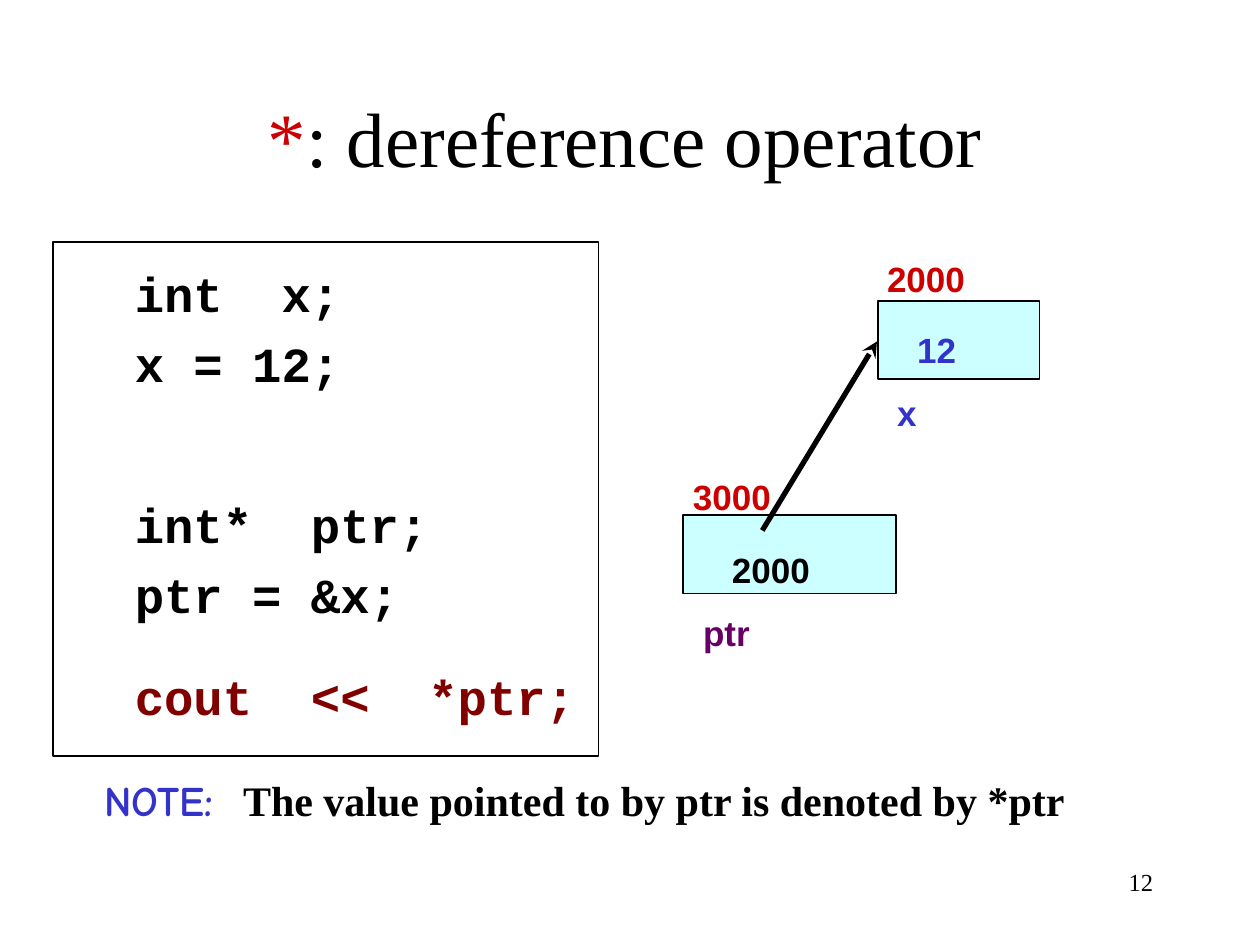
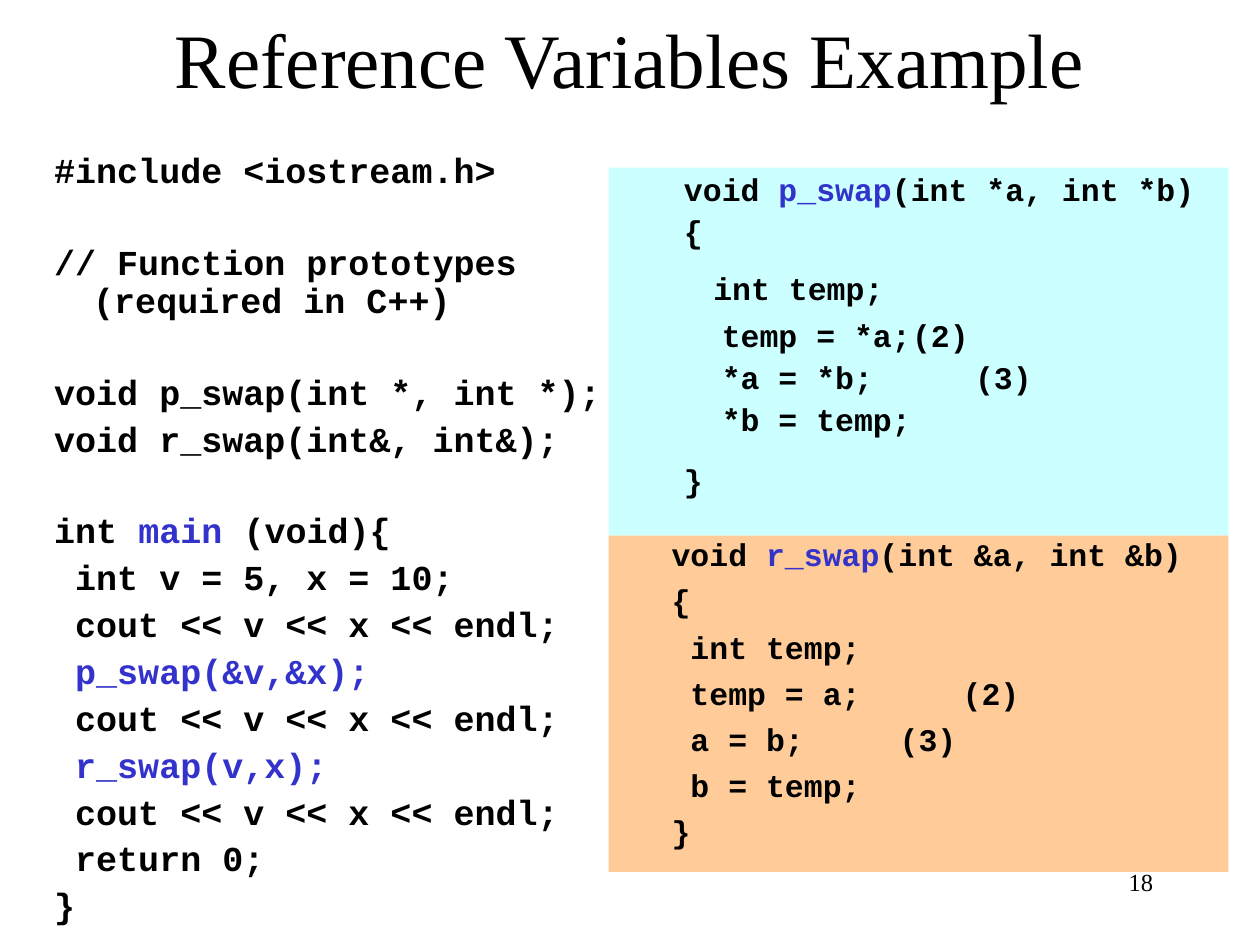
"""Build two slides on pointers and references in C++."""
from dataclasses import dataclass, field
from typing import Any, Optional

from lxml.etree import SubElement
from pptx import Presentation
from pptx.dml.color import RGBColor
from pptx.enum.shapes import MSO_CONNECTOR as Link, MSO_SHAPE as Kind
from pptx.enum.text import MSO_ANCHOR as Anchor, MSO_AUTO_SIZE as Fit, PP_ALIGN as Align
from pptx.oxml.ns import qn
from pptx.util import Inches, Pt

BLACK = RGBColor(0x00, 0x00, 0x00)
WHITE = RGBColor(0xFF, 0xFF, 0xFF)
RED = RGBColor(0xCC, 0x00, 0x00)
MAROON = RGBColor(0x80, 0x00, 0x00)
BLUE = RGBColor(0x33, 0x33, 0xCC)
PURPLE = RGBColor(0x66, 0x00, 0x66)
CYAN = RGBColor(0xCC, 0xFF, 0xFF)
PEACH = RGBColor(0xFF, 0xCC, 0x99)

SERIF = {"name": "Times New Roman", "bold": False, "color": BLACK}
TITLE = SERIF | {"size": Pt(44)}
NUMBER = SERIF | {"size": Pt(14)}
LABEL = {"name": "Arial", "size": Pt(20), "bold": True}
CODE = {"name": "Courier New", "bold": True, "color": BLACK}
BIG = CODE | {"size": Pt(28)}
MID = CODE | {"size": Pt(20)}
SMALL = CODE | {"size": Pt(18)}
HANG = (0.81, -0.31)
PAD = (0.1, 0.05, 0.1, 0.05)
BARE = (0, 0, 0, 0)
Look = dict[str, Any]


@dataclass
class Box:
    left: float
    top: float
    width: float
    height: float

    def size(self) -> list[int]:
        return [Inches(n) for n in (self.left, self.top, self.width, self.height)]


@dataclass
class Run:
    text: str
    look: Look = field(default_factory=dict)


@dataclass
class Line:
    runs: list[Run]
    gap: float = 0
    dent: tuple[float, float] = (0, 0)
    level: int = 0
    pitch: Optional[float] = None
    align: Align = Align.LEFT


@dataclass
class Label:
    text: str
    left: float
    top: float
    color: RGBColor


def style(font: Any, look: Look) -> None:
    for key, value in look.items():
        if key == "color":
            font.color.rgb = value
        else:
            setattr(font, key, value)


def write(shape: Any, lines: list[Line], base: Look, pad: tuple = PAD,
          anchor: Anchor = Anchor.TOP) -> None:
    frame = shape.text_frame
    setup = {"word_wrap": True, "auto_size": Fit.NONE, "vertical_anchor": anchor}
    sides = ("margin_left", "margin_top", "margin_right", "margin_bottom")
    setup |= {side: Inches(n) for side, n in zip(sides, pad)}
    for key, value in setup.items():
        setattr(frame, key, value)
    for i, line in enumerate(lines):
        para = frame.add_paragraph() if i else frame.paragraphs[0]
        form = {"alignment": line.align, "level": line.level,
                "space_before": Pt(line.gap), "line_spacing": line.pitch}
        for key, value in form.items():
            setattr(para, key, value)
        props = para._p.get_or_add_pPr()
        for key, value in zip(("marL", "indent"), line.dent):
            props.set(key, str(Inches(value)))
        SubElement(props, qn("a:buNone"))
        for part in line.runs:
            run = para.add_run()
            run.text = part.text
            style(run.font, base | part.look)


def place(shape: Any, box: Box) -> Any:
    for key, value in zip(("left", "top", "width", "height"), box.size()):
        setattr(shape, key, value)
    return shape


def rect(slide: Any, box: Box, fill: RGBColor, edge: bool = True) -> Any:
    shape = slide.shapes.add_shape(Kind.RECTANGLE, *box.size())
    shape.shadow.inherit = False
    shape.fill.solid()
    shape.fill.fore_color.rgb = fill
    if edge:
        shape.line.color.rgb = BLACK
        shape.line.width = Pt(1)
    else:
        shape.line.fill.background()
    return shape


def text(slide: Any, box: Box, lines: list[Line], base: Look, pad: tuple = PAD) -> None:
    write(slide.shapes.add_textbox(*box.size()), lines, base, pad)


def arrow(slide: Any, start: tuple[float, float], end: tuple[float, float]) -> None:
    link = slide.shapes.add_connector(Link.STRAIGHT, *[Inches(n) for n in start + end])
    link.line.color.rgb = BLACK
    link.line.width = Pt(3)
    SubElement(link.line._get_or_add_ln(), qn("a:tailEnd"), type="stealth")
    SubElement(link.element.spPr, qn("a:effectLst"))


def start(deck: Any, head: list[Run], box: Box, anchor: Anchor, number: str) -> Any:
    slide = deck.slides.add_slide(deck.slide_layouts[1])
    title = place(slide.shapes.title, box)
    write(title, [Line(head, align=Align.CENTER)], TITLE, anchor=anchor)
    text(slide, Box(7.17, 6.83, 2.08, 0.5),
         [Line([Run(number)], align=Align.RIGHT)], NUMBER)
    return slide


def code(rows: list[tuple], gap: float, pitch: Optional[float] = None) -> list[Line]:
    lines = []
    for row, extra in rows:
        runs = [Run(row)] if isinstance(row, str) else row
        lines.append(Line(runs, gap + extra, HANG, 1, pitch))
    return lines


def pointer(deck: Any) -> None:
    head = [Run("*", {"color": RED}), Run(": dereference operator")]
    slide = start(deck, head, Box(0.67, 0.25, 8.58, 1.25), Anchor.BOTTOM, "12")
    body = place(slide.placeholders[1], Box(0.73, 2.04, 8.6, 4.65))
    frame = rect(slide, Box(0.42, 1.92, 4.33, 4.08), WHITE)
    body.element.addprevious(frame.element)
    rows = [("int  x;", 6.5, BLACK), ("x = 12;", 6.5, BLACK),
            ("int*  ptr;", 58.5, BLACK), ("ptr = &x;", 6.5, BLACK),
            ("cout  <<  *ptr;", 24.5, MAROON)]
    lines = [Line([Run(row, {"color": color})], gap, (0.24, 0))
             for row, gap, color in rows]
    note = {"name": "Comic Neue", "size": Pt(24), "color": BLUE}
    fact = SERIF | {"size": Pt(24), "bold": True}
    lines.append(Line([Run("NOTE:  ", note),
                       Run("The value pointed to by ptr is denoted by *ptr", fact)], 28))
    write(body, lines, BIG)
    for left, top, width in ((6.97, 2.39, 1.28), (5.42, 4.09, 1.69)):
        rect(slide, Box(left, top, width, 0.62), CYAN)
    arrow(slide, (6.05, 4.21), (6.96, 2.71))
    for tag in (Label("2000", 7.04, 2.04, RED), Label("12", 7.28, 2.61, BLUE),
                Label("x", 7.12, 3.11, BLUE), Label("3000", 5.5, 3.77, RED),
                Label("2000", 5.81, 4.35, BLACK), Label("ptr", 5.58, 4.85, PURPLE)):
        text(slide, Box(tag.left, tag.top, 0.8, 0.32),
             [Line([Run(tag.text, {"color": tag.color})])], LABEL, BARE)


def swap(deck: Any) -> None:
    slide = start(deck, [Run("Reference Variables Example")],
                  Box(0, 0.08, 10, 0.75), Anchor.MIDDLE, "18")
    blue = {"color": BLUE}
    skip = 25.6
    show = (" cout << v << x << endl;", 0)
    rows = [("#include <iostream.h>", 0),
            ("// Function prototypes (required in C++)", skip),
            ("void p_swap(int *, int *);", skip),
            ("void r_swap(int&, int&);", 0),
            ([Run("int "), Run("main", blue), Run(" (void){")], skip),
            (" int v = 5, x = 10;", 0), show,
            ([Run(" p_swap(&v,&x);", blue)], 0), show,
            ([Run(" r_swap(v,x);", blue)], 0), show,
            (" return 0;", 0), ("}", 0)]
    body = place(slide.placeholders[1], Box(-0.17, 1.17, 5.08, 6.25))
    write(body, code(rows, 5.2, 0.9), MID)

    low = [([Run("void "), Run("r_swap", blue), Run("(int &a, int &b)")], 0),
           ("{", 0), (" int temp;", 0), (" temp = a;\t\t(2)", 0),
           (" a = b;\t\t(3)", 0), (" b = temp;", 0), ("}", 0)]
    write(rect(slide, Box(4.83, 4.25, 4.92, 2.67), PEACH, False),
          code(low, 4.7), SMALL, BARE)

    high = [([Run("void "), Run("p_swap", blue), Run("(int *a, int *b)")], 0),
            ("{", 0), ([Run(" ", {"size": Pt(28)}), Run("int temp;")], 0),
            ("  temp = *a;\t(2)", 0), ("  *a = *b;\t\t(3)", 0),
            ("  *b = temp;", 0), ("}", 10.5)]
    write(rect(slide, Box(4.83, 1.33, 4.92, 2.92), CYAN, False),
          code(high, 4.8, 0.9), SMALL)


def main() -> None:
    deck = Presentation()
    deck.slide_width, deck.slide_height = Inches(10), Inches(7.5)
    pointer(deck)
    swap(deck)
    deck.save("out.pptx")


main()
